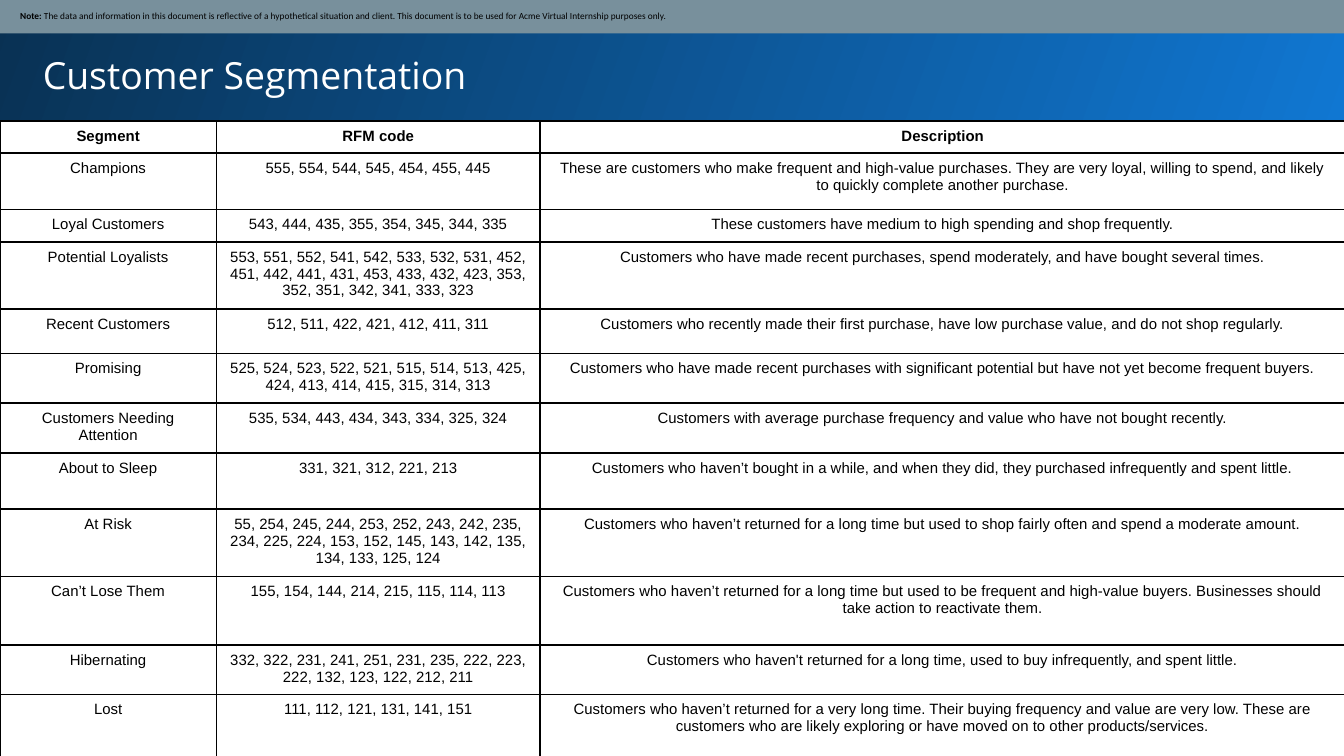
from pptx import Presentation
from pptx.dml.color import RGBColor
from pptx.enum.shapes import MSO_SHAPE
from pptx.enum.text import MSO_ANCHOR, PP_ALIGN
from pptx.oxml import parse_xml
from pptx.oxml.ns import nsdecls
from pptx.util import Inches, Pt

COLORS = {
    "black": "000000",
    "white": "FFFFFF",
    "note": "78909C",
    "light_blue": "1077D2",
    "dark_blue": "093153",
}

COL_WIDTHS = [1.61, 2.41, 5.99]

# Row height, segment, RFM code, description
ROWS = [
    (0.24, "Segment", "RFM code", "Description"),
    (0.42, "Champions", "555, 554, 544, 545, 454, 455, 445",
     "These are customers who make frequent and high-value purchases. They are very loyal, "
     "willing to spend, and likely to quickly complete another purchase."),
    (0.24, "Loyal Customers", "543, 444, 435, 355, 354, 345, 344, 335",
     "These customers have medium to high spending and shop frequently."),
    (0.5, "Potential Loyalists",
     "553, 551, 552, 541, 542, 533, 532, 531, 452, 451, 442, 441, 431, 453, 433, 432, 423, "
     "353, 352, 351, 342, 341, 333, 323",
     "Customers who have made recent purchases, spend moderately, and have bought several times."),
    (0.33, "Recent Customers", "512, 511, 422, 421, 412, 411, 311",
     "Customers who recently made their first purchase, have low purchase value, "
     "and do not shop regularly."),
    (0.37, "Promising",
     "525, 524, 523, 522, 521, 515, 514, 513, 425, 424, 413, 414, 415, 315, 314, 313",
     "Customers who have made recent purchases with significant potential "
     "but have not yet become frequent buyers."),
    (0.37, "Customers Needing Attention", "535, 534, 443, 434, 343, 334, 325, 324",
     "Customers with average purchase frequency and value who have not bought recently."),
    (0.42, "About to Sleep", "331, 321, 312, 221, 213",
     "Customers who haven’t bought in a while, and when they did, "
     "they purchased infrequently and spent little."),
    (0.5, "At Risk",
     "55, 254, 245, 244, 253, 252, 243, 242, 235, 234, 225, 224, 153, 152, 145, 143, 142, "
     "135, 134, 133, 125, 124",
     "Customers who haven’t returned for a long time but used to shop fairly often "
     "and spend a moderate amount."),
    (0.51, "Can’t Lose Them", "155, 154, 144, 214, 215, 115, 114, 113",
     "Customers who haven’t returned for a long time but used to be frequent and high-value "
     "buyers. Businesses should take action to reactivate them."),
    (0.37, "Hibernating",
     "332, 322, 231, 241, 251, 231, 235, 222, 223, 222, 132, 123, 122, 212, 211",
     "Customers who haven't returned for a long time, used to buy infrequently, "
     "and spent little."),
    (0.51, "Lost", "111, 112, 121, 131, 141, 151",
     "Customers who haven’t returned for a very long time. Their buying frequency and value "
     "are very low. These are customers who are likely exploring or have moved on to other "
     "products/services."),
]


def add_run(p, text, font, size, color="black", bold=False):
    r = p.add_run()
    r.text = text
    r.font.name = font
    r.font.size = Pt(size)
    r.font.bold = bold
    r.font.color.rgb = RGBColor.from_string(COLORS[color])


def add_bar(left, top, width, height):
    s = slide.shapes.add_shape(MSO_SHAPE.RECTANGLE, Inches(left), Inches(top),
                               Inches(width), Inches(height))
    s.shadow.inherit = False
    s.line.fill.background()
    return s


prs = Presentation()
prs.slide_width, prs.slide_height = Inches(10), Inches(5.625)
slide = prs.slides.add_slide(prs.slide_layouts[6])

# Gradient title bar
s = add_bar(-0.02, -0.02, 10.05, 0.92)
s.fill.gradient()
s.fill.gradient_angle = 160
for stop, name in zip(s.fill.gradient_stops, ("light_blue", "dark_blue")):
    stop.color.rgb = RGBColor.from_string(COLORS[name])

# Title
s = slide.shapes.add_textbox(Inches(0.22), Inches(0.29), Inches(9.37), Inches(0.54))
tf = s.text_frame
tf.word_wrap = True
tf.margin_left = tf.margin_right = tf.margin_top = tf.margin_bottom = Inches(0.1)
add_run(tf.paragraphs[0], "Customer Segmentation", "Open Sans", 20, "white")

# Note strip
s = add_bar(-0.01, -0.01, 10.03, 0.26)
s.fill.solid()
s.fill.fore_color.rgb = RGBColor.from_string(COLORS["note"])
tf = s.text_frame
tf.word_wrap = True
tf.vertical_anchor = MSO_ANCHOR.MIDDLE
tf.margin_left = Inches(0.16)
tf.margin_right = tf.margin_top = tf.margin_bottom = Inches(0.05)
p = tf.paragraphs[0]
p.alignment = PP_ALIGN.LEFT
add_run(p, "Note: ", "Calibri", 5, bold=True)
add_run(p, "The data and information in this document is reflective of a hypothetical situation "
           "and client. This document is to be used for Acme Virtual Internship purposes only.",
        "Calibri", 5)

# Segment table
table = slide.shapes.add_table(len(ROWS), len(COL_WIDTHS), Inches(0), Inches(0.9),
                               Inches(10), Inches(4.77)).table
table.first_row = table.horz_banding = False
for column, width in zip(table.columns, COL_WIDTHS):
    column.width = Inches(width)

for i, (height, *texts) in enumerate(ROWS):
    table.rows[i].height = Inches(height)
    for j, text in enumerate(texts):
        cell = table.cell(i, j)
        p = cell.text_frame.paragraphs[0]
        p.alignment = PP_ALIGN.CENTER
        add_run(p, text, "Arial", 8, bold=i == 0)
        # Borders come before the fill in the cell properties
        tc_pr = cell._tc.get_or_add_tcPr()
        for side in ("lnL", "lnR", "lnT", "lnB"):
            tc_pr.append(parse_xml(
                f'<a:{side} {nsdecls("a")} w="{Pt(1)}"><a:solidFill>'
                f'<a:srgbClr val="{COLORS["black"]}"/></a:solidFill></a:{side}>'))
        cell.fill.background()

prs.save("out.pptx")
